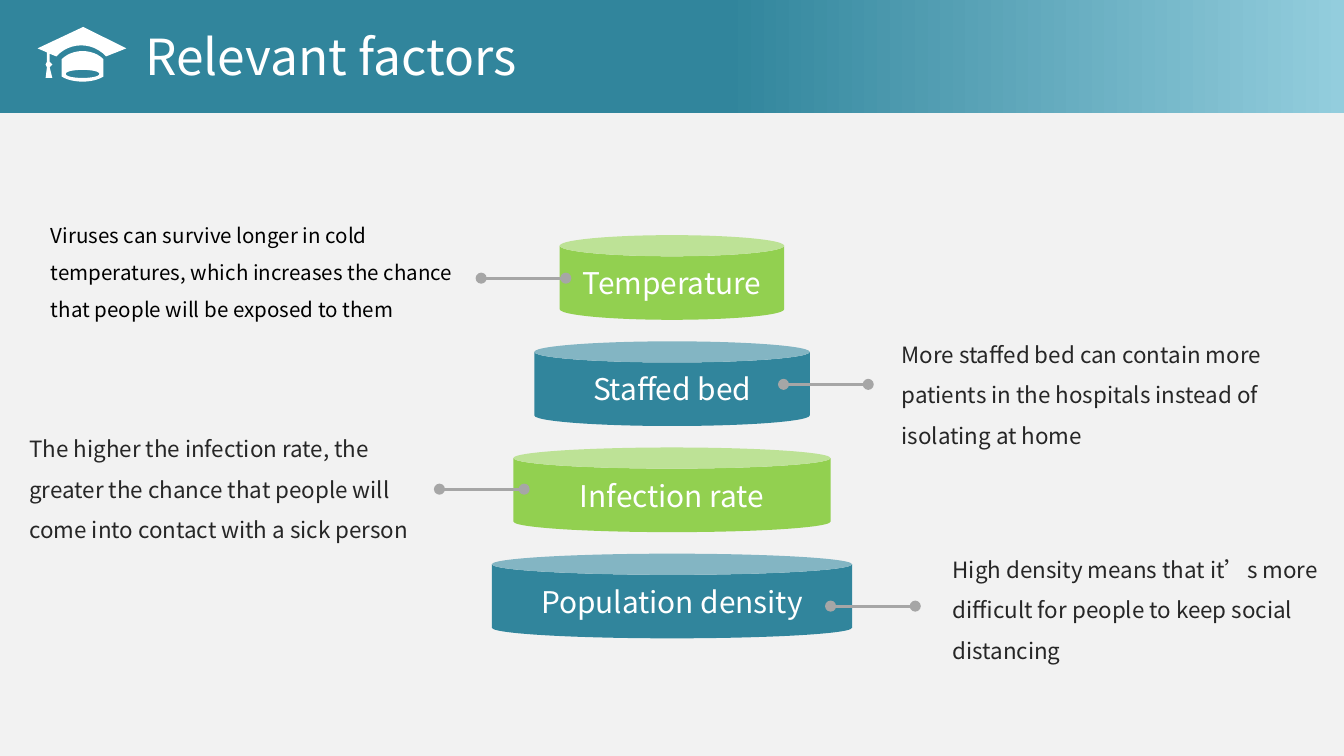
from lxml.etree import SubElement
from pptx import Presentation
from pptx.dml.color import RGBColor
from pptx.enum.shapes import MSO_CONNECTOR as CONNECTOR, MSO_SHAPE as SHAPE
from pptx.enum.text import MSO_ANCHOR as ANCHOR, MSO_AUTO_SIZE as AUTO_SIZE, PP_ALIGN as ALIGN
from pptx.oxml.ns import qn
from pptx.util import Inches, Pt

FONT = "Noto Sans CJK SC"
TEAL, GREEN, WHITE, INK = "31859C", "92D050", "FFFFFF", "262626"
LINK_LENGTH = 0.63
TIER_TOP, TIER_STEP, TIER_HEIGHT, CENTER = 1.75, 0.79, 0.63, 5
TIERS = [
    ("Temperature", 1.67, GREEN),
    ("Staffed bed", 2.05, TEAL),
    ("Infection rate", 2.36, GREEN),
    ("Population density", 2.68, TEAL),
]
LINKS = [(3.58, 2.07), (5.83, 2.86), (3.27, 3.64), (6.18, 4.51)]
NOTES = [
    ("Viruses can survive longer in cold temperatures, which increases the chance "
     "that people will be exposed to them", 0.28, 1.52, 3.46, 11, "000000"),
    ("More staffed bed can contain more patients in the hospitals instead of "
     "isolating at home", 6.61, 2.39, 2.97, 12, INK),
    ("The higher the infection rate, the greater the chance that people will come "
     "into contact with a sick person", 0.12, 3.09, 3.15, 12, INK),
    ("High density means that it’s more difficult for people to keep social "
     "distancing", 6.99, 3.99, 2.97, 12, INK),
]


def rgb(color):
    """Turn a hex string into a colour."""
    return RGBColor.from_string(color)


def box(left, top, width, height):
    """Return a position and size in inches as lengths."""
    return [Inches(value) for value in (left, top, width, height)]


def write(frame, text, size, color, align=ALIGN.LEFT, spacing=None):
    """Fill a text frame with one formatted paragraph."""
    frame.word_wrap = True
    frame.text = text
    paragraph = frame.paragraphs[0]
    paragraph.alignment = align
    paragraph.line_spacing = spacing
    font = paragraph.runs[0].font
    font.size = Pt(size)
    font.color.rgb = rgb(color)
    font.name = FONT
    SubElement(paragraph.runs[0]._r.get_or_add_rPr(), qn("a:ea"), typeface=FONT)


def paint(shape, color):
    """Give a shape a flat fill without outline or shadow."""
    shape.shadow.inherit = False
    shape.fill.solid()
    shape.fill.fore_color.rgb = rgb(color)
    shape.line.fill.background()


def curve(start, pull_start, pull_end, end, steps=12):
    """Return points along a cubic curve."""
    points = []
    for step in range(steps + 1):
        t = step / steps
        u = 1 - t
        weights = (u**3, 3 * u * u * t, 3 * u * t * t, t**3)
        points.append(tuple(
            sum(weight * value for weight, value in zip(weights, axis))
            for axis in zip(start, pull_start, pull_end, end)))
    return points


def add_banner(slide):
    """Add the gradient band across the top."""
    banner = slide.shapes.add_shape(SHAPE.RECTANGLE, *box(0, 0, 10, 0.84))
    paint(banner, TEAL)
    banner.fill.gradient()
    banner.fill.gradient_angle = 180
    stops = zip(banner.fill.gradient_stops, (0, 0.46), ("93CDDD", TEAL))
    for stop, position, color in stops:
        stop.position = position
        stop.color.rgb = rgb(color)
    return banner


def add_title(slide, banner, text):
    """Place the title in front of the banner."""
    title = slide.shapes.title
    title.left, title.top, title.width, title.height = box(0.98, 0.14, 4.22, 0.55)
    write(title.text_frame, text, 26.6, WHITE)
    title.text_frame.auto_size = AUTO_SIZE.NONE
    title.text_frame.vertical_anchor = ANCHOR.TOP
    banner._element.addnext(title._element)


def add_cap(slide):
    """Draw the graduation cap with its board, crown and opening."""
    board = curve((0.79, 0.42), (0.69, 0.31), (0.52, 0.31), (0.42, 0.42)) + [
        (0.37, 0.4), (0.37, 0.46), (0.39, 0.48), (0.37, 0.5), (0.39, 0.58),
        (0.34, 0.58), (0.35, 0.5), (0.34, 0.48), (0.35, 0.46), (0.35, 0.39),
        (0.28, 0.36), (0.62, 0.2), (0.94, 0.36), (0.79, 0.42)]
    crown = (curve((0.46, 0.44), (0.54, 0.36), (0.69, 0.36), (0.77, 0.44))
             + curve((0.77, 0.57), (0.69, 0.62), (0.54, 0.62), (0.46, 0.57)))
    opening = (curve((0.49, 0.55), (0.49, 0.51), (0.74, 0.51), (0.74, 0.55))
               + curve((0.74, 0.55), (0.74, 0.59), (0.49, 0.59), (0.49, 0.55))[1:])
    builder = slide.shapes.build_freeform(
        *(Inches(value) for value in board[0]), scale=1)
    for outline in (board, crown, opening):
        points = [(Inches(x), Inches(y)) for x, y in outline]
        if outline is not board:
            builder.move_to(*points[0])
        builder.add_line_segments(points[1:])
    paint(builder.convert_to_shape(), WHITE)


def add_tier(slide, index, label, width, color):
    """Add one labelled disc of the tower."""
    top = TIER_TOP + index * TIER_STEP
    tier = slide.shapes.add_shape(
        SHAPE.CAN, *box(CENTER - width / 2, top, width, TIER_HEIGHT))
    paint(tier, color)
    write(tier.text_frame, label, 16, WHITE, ALIGN.CENTER)
    tier.text_frame.vertical_anchor = ANCHOR.MIDDLE


def add_link(slide, left, y):
    """Add a horizontal line with a dot at each end."""
    link = slide.shapes.add_connector(
        CONNECTOR.STRAIGHT, Inches(left), Inches(y), Inches(left + LINK_LENGTH), Inches(y))
    link.line.color.rgb = rgb("A6A6A6")
    link.line.width = Pt(1.5)
    for end in ("a:headEnd", "a:tailEnd"):
        SubElement(link.line._get_or_add_ln(), qn(end), type="oval")
    SubElement(link._element.spPr, qn("a:effectLst"))


def add_note(slide, text, left, top, width, size, color):
    """Add an explanation beside the tower."""
    note = slide.shapes.add_textbox(*box(left, top, width, 1.04))
    write(note.text_frame, text, size, color, spacing=1.5)


def main():
    """Build and save the slide."""
    deck = Presentation()
    deck.slide_width = Inches(10)
    deck.slide_height = deck.slide_width * 9 // 16
    slide = deck.slides.add_slide(deck.slide_layouts[5])
    slide.background.fill.solid()
    slide.background.fill.fore_color.rgb = rgb("F2F2F2")
    add_title(slide, add_banner(slide), "Relevant factors")
    add_cap(slide)
    for index, tier in reversed(list(enumerate(TIERS))):
        add_tier(slide, index, *tier)
    for link in LINKS:
        add_link(slide, *link)
    for note in NOTES:
        add_note(slide, *note)
    deck.save("out.pptx")


if __name__ == "__main__":
    main()
